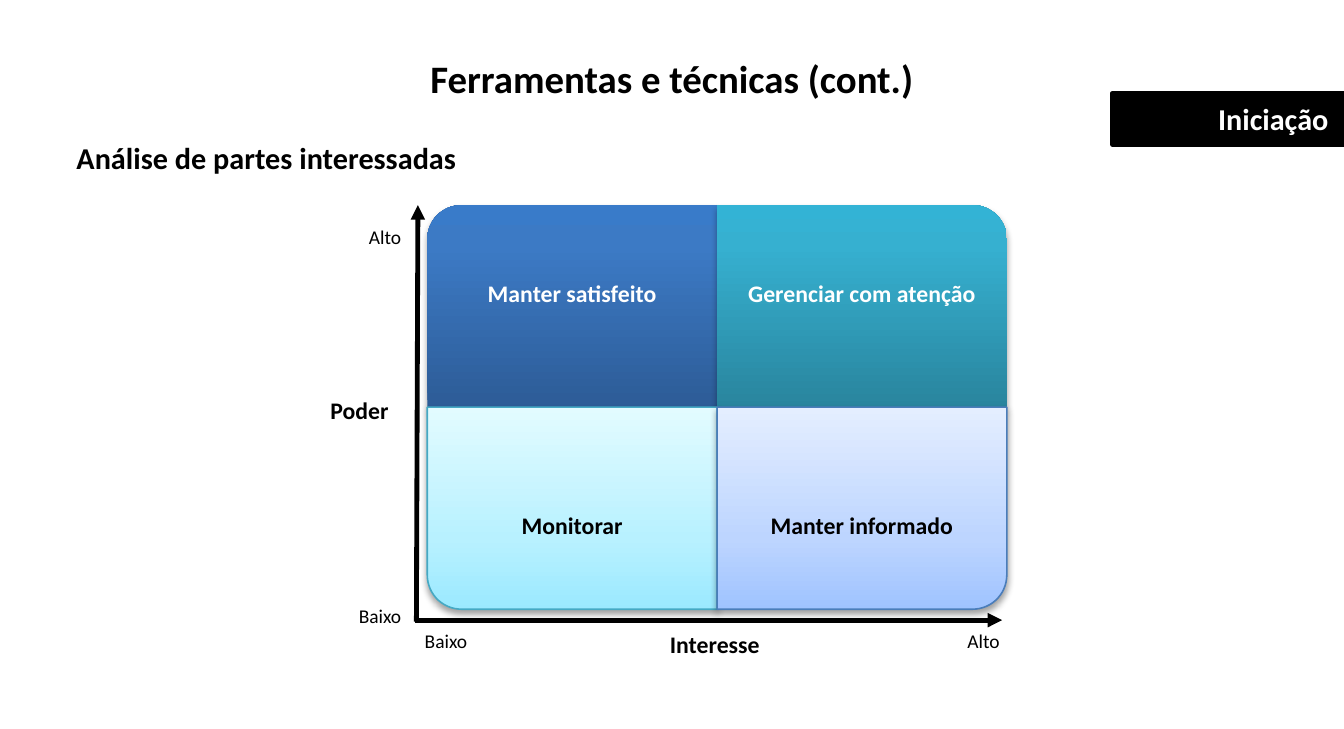
import math
from copy import deepcopy

from lxml import etree
from pptx import Presentation
from pptx.dml.color import RGBColor
from pptx.enum.shapes import MSO_CONNECTOR, MSO_SHAPE
from pptx.enum.text import MSO_ANCHOR, PP_ALIGN
from pptx.oxml.ns import qn
from pptx.util import Emu, Pt

PX = 9144  # 100 px to the inch
RECT = MSO_SHAPE.RECTANGLE
STRAIGHT = MSO_CONNECTOR.STRAIGHT
LEFT, CENTER, RIGHT = PP_ALIGN.LEFT, PP_ALIGN.CENTER, PP_ALIGN.RIGHT
TOP, MIDDLE = MSO_ANCHOR.TOP, MSO_ANCHOR.MIDDLE
FONT = "Calibri"
BLACK, WHITE = "000000", "FFFFFF"
RADIUS = 22

# column side, row side, label, label colour, gradient from the bottom up, line
QUADRANTS = [
    (-1, -1, "Manter satisfeito", WHITE,
     [(0, "2D5C97"), (0.8, "3C7AC5"), (1, "397BC9")], None),
    (1, -1, "Gerenciar com atenção", WHITE,
     [(0, "29859E"), (0.8, "36B0D0"), (1, "33B3D5")], None),
    (-1, 1, "Monitorar", BLACK,
     [(0, "9BE9FF"), (0.35, "B8F1FF"), (1, "E2FBFF")], "45A9C4"),
    (1, 1, "Manter informado", BLACK,
     [(0, "9FC3FF"), (0.35, "BDD5FF"), (1, "E4EEFF")], "4A7DBA"),
]


def px(n):
    return Emu(round(n * PX))


def rgb(color):
    return RGBColor.from_string(color)


def write(sp, text, size=11, color=BLACK, bold=True, align=CENTER,
          anchor=TOP, insets=(10, 5, 10, 5)):
    tf = sp.text_frame
    tf.word_wrap = True
    tf.vertical_anchor = anchor
    (tf.margin_left, tf.margin_top,
     tf.margin_right, tf.margin_bottom) = map(px, insets)
    p = tf.paragraphs[0]
    p.alignment = align
    r = p.add_run()
    r.text = text
    r.font.name = FONT
    r.font.size = Pt(size)
    r.font.bold = bold
    r.font.color.rgb = rgb(color)


def add_text(s, x, y, w, h, text, **fmt):
    write(s.shapes.add_textbox(px(x), px(y), px(w), px(h)), text, **fmt)


def add_tag(s, x, y, w, h, text):
    sp = s.shapes.add_shape(RECT, px(x), px(y), px(w), px(h))
    sp.shadow.inherit = False
    sp.fill.solid()
    sp.fill.fore_color.rgb = rgb(BLACK)
    sp.line.color.rgb = rgb(BLACK)
    sp.line.width = Pt(2)
    write(sp, text, size=14, color=WHITE, align=RIGHT, anchor=MIDDLE)


def fill_upwards(sp, stops):
    sp.fill.gradient()
    sp.fill.gradient_angle = 90
    stop_list = sp._element.spPr.find(".//" + qn("a:gsLst"))
    stop_list.append(deepcopy(stop_list[0]))
    for stop, (position, color) in zip(sp.fill.gradient_stops, stops):
        stop.position = position
        stop.color.rgb = rgb(color)


def drop_shadow(sp):
    sp.shadow.inherit = False
    effects = sp._element.spPr.find(qn("a:effectLst"))
    shadow = etree.SubElement(effects, qn("a:outerShdw"), blurRad=str(Pt(3.1)),
                              dist=str(Pt(1.7)), dir="5400000", rotWithShape="0")
    color = etree.SubElement(shadow, qn("a:srgbClr"), val=BLACK)
    etree.SubElement(color, qn("a:alpha"), val="36000")


def add_quadrant(s, cx, cy, w, h, quadrant):
    """Draw one quarter of the matrix whose centre is (cx, cy)."""
    side_x, side_y, text, color, stops, line = quadrant
    outer_x, outer_y = cx + side_x * w, cy + side_y * h
    arc = []
    for deg in range(0, 91, 6):
        t = math.radians(deg)
        arc.append((outer_x - side_x * RADIUS * (1 - math.sin(t)),
                    outer_y - side_y * RADIUS * (1 - math.cos(t))))
    points = [(cx, outer_y), *arc, (outer_x, cy)]
    outline = s.shapes.build_freeform(px(cx), px(cy))
    outline.add_line_segments([(px(x), px(y)) for x, y in points])
    sp = outline.convert_to_shape()
    fill_upwards(sp, stops)
    if line:
        sp.line.color.rgb = rgb(line)
        sp.line.width = Pt(0.75)
    else:
        sp.line.fill.background()
    drop_shadow(sp)
    insets = (9, 31, 9, 48) if side_y < 0 else (9, 48, 9, 26)
    write(sp, text, color=color, anchor=MIDDLE, insets=insets)


def add_arrow(s, x1, y1, x2, y2):
    c = s.shapes.add_connector(STRAIGHT, px(x1), px(y1), px(x2), px(y2))
    c.line.color.rgb = rgb(BLACK)
    c.line.width = Pt(2.25)
    etree.SubElement(c.line._get_or_add_ln(), qn("a:tailEnd"), type="triangle")
    etree.SubElement(c._element.spPr, qn("a:effectLst"))


def add_matrix(s, x, y, w, h):
    """Draw the power and interest matrix with its axes and labels."""
    for quadrant in QUADRANTS:
        add_quadrant(s, x + w / 2, y + h / 2, w / 2, h / 2, quadrant)
    bottom = y + h
    add_text(s, x - 94, y + 118, 79, 29, "Poder", align=RIGHT)
    add_text(s, x + 134, bottom + 8, 102, 29, "Interesse")
    for text, top in (("Alto", y + 8), ("Baixo", bottom - 8)):
        add_text(s, x - 86, top, 79, 25, text, size=9, bold=False, align=RIGHT)
    for text, left in (("Baixo", x - 39), ("Alto", x + w - 66)):
        add_text(s, left, bottom + 8, 102, 25, text, size=9, bold=False)
    add_arrow(s, x - 7, bottom + 8, x - 6, y)
    add_arrow(s, x - 8, bottom + 7, x + w - 3, bottom + 7)


def main():
    prs = Presentation()
    prs.slide_width, prs.slide_height = px(865), px(469)
    s = prs.slides.add_slide(prs.slide_layouts[6])
    add_text(s, 0, 30, 865, 40, "Ferramentas e técnicas (cont.)", size=18)
    add_tag(s, 716, 60, 149, 33, "Iniciação")
    add_text(s, 23, 85, 282, 34, "Análise de partes interessadas", size=14,
             insets=(25, 5, 10, 5))
    add_matrix(s, 275, 132, 373, 260)
    prs.save("out.pptx")


if __name__ == "__main__":
    main()
